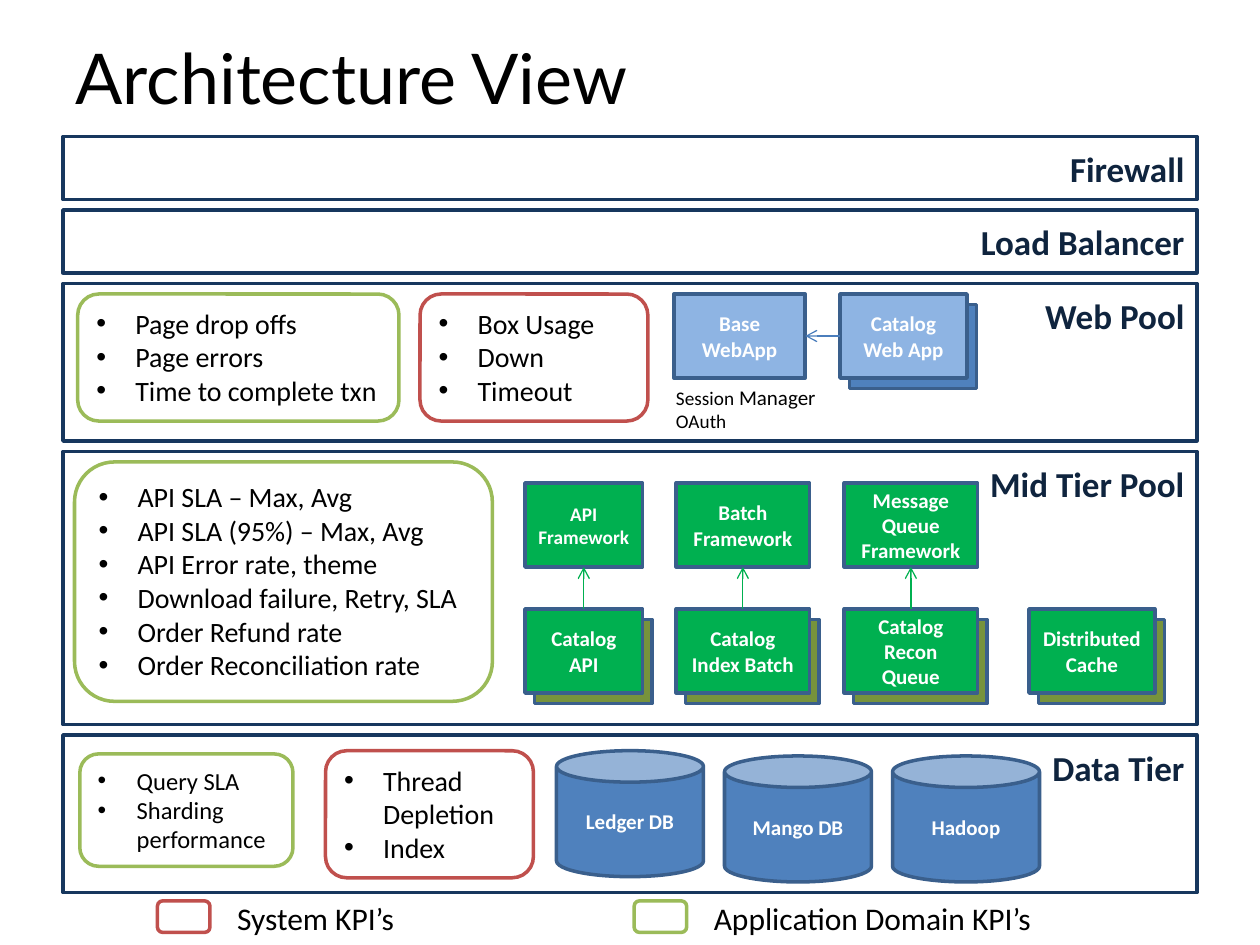
from dataclasses import dataclass

from lxml import etree
from pptx import Presentation
from pptx import util as u
from pptx.dml.color import RGBColor
from pptx.enum import shapes, text
from pptx.oxml import ns

NAVY = RGBColor(0x17, 0x37, 0x5E)
INK = RGBColor(0x0F, 0x24, 0x3E)
BLACK = RGBColor(0, 0, 0)
WHITE = RGBColor(0xFF, 0xFF, 0xFF)
BLUE = RGBColor(0x4F, 0x81, 0xBD)
LIGHT_BLUE = RGBColor(0x8E, 0xB4, 0xE3)
EDGE_BLUE = RGBColor(0x3A, 0x5F, 0x8C)
ARROW_BLUE = RGBColor(0x4B, 0x7E, 0xBC)
GREEN = RGBColor(0x00, 0xB0, 0x50)
OLIVE = RGBColor(0x77, 0x93, 0x3C)
SYSTEM_RED = RGBColor(0xC0, 0x50, 0x4D)
DOMAIN_GREEN = RGBColor(0x9B, 0xBB, 0x59)

SLIDE_WIDTH, SLIDE_HEIGHT = u.Inches(10), u.Inches(7.5)
UNIT = SLIDE_WIDTH / 120  # the slide is a grid of 120 columns by 90 rows
RECTANGLE = shapes.MSO_SHAPE.RECTANGLE
ROUNDED = shapes.MSO_SHAPE.ROUNDED_RECTANGLE
CAN = shapes.MSO_SHAPE.CAN
TOP, LEFT, BOTTOM, RIGHT = range(4)
NODE_HEIGHT = 8


@dataclass
class Box:
    """A place on the slide, in grid columns and rows."""
    column: float
    row: float
    width: float
    height: float

    def inner(self, column, row, width, height):
        return Box(self.column + column, self.row + row, width, height)

    def lengths(self):
        return [round(n * UNIT) for n in (self.column, self.row, self.width, self.height)]


def write(text_frame, words, size, color, bold=False, align=text.PP_ALIGN.LEFT):
    text_frame.text = words
    for paragraph in text_frame.paragraphs:
        paragraph.alignment = align
        for run in paragraph.runs:
            font = run.font
            font.name, font.size, font.bold = "Calibri", u.Pt(size), bold
            font.color.rgb = color


def add_block(slide, box, kind, line, fill=None):
    shape = slide.shapes.add_shape(kind, *box.lengths())
    shape.shadow.inherit = False
    if fill is None:
        shape.fill.background()
    else:
        shape.fill.solid()
        shape.fill.fore_color.rgb = fill
    shape.line.color.rgb = line
    shape.line.width = u.Pt(2)
    return shape


def add_tier(slide, box, label, anchor=text.MSO_ANCHOR.TOP):
    text_frame = add_block(slide, box, RECTANGLE, NAVY).text_frame
    write(text_frame, label, 20, INK, True, text.PP_ALIGN.RIGHT)
    text_frame.vertical_anchor = anchor
    if anchor == text.MSO_ANCHOR.TOP:
        text_frame.margin_top = u.Inches(0.09)


def add_kpis(slide, box, color, items, size=16):
    text_frame = add_block(slide, box, ROUNDED, color, WHITE).text_frame
    text_frame.vertical_anchor = text.MSO_ANCHOR.TOP
    write(text_frame, "\n".join(items), size, BLACK)
    indent = u.Inches(0.31)
    for paragraph in text_frame.paragraphs:
        properties = paragraph._p.get_or_add_pPr()
        properties.set("marL", str(indent))
        properties.set("indent", str(-indent))
        etree.SubElement(properties, ns.qn("a:buFont")).set("typeface", "Arial")
        etree.SubElement(properties, ns.qn("a:buChar")).set("char", "•")


def add_node(slide, box, label, fill, size=12, kind=RECTANGLE, behind=None):
    if behind is not None:  # second instance, peeking out from behind
        add_block(slide, box.inner(0.9, 1, box.width, box.height), RECTANGLE, EDGE_BLUE, behind)
    node = add_block(slide, box, kind, EDGE_BLUE, fill)
    write(node.text_frame, label, size, WHITE, True, text.PP_ALIGN.CENTER)
    return node


def add_arrow(slide, start, start_side, end, end_side, color):
    arrow = slide.shapes.add_connector(shapes.MSO_CONNECTOR.STRAIGHT, 0, 0, 0, 0)
    arrow.begin_connect(start, start_side)
    arrow.end_connect(end, end_side)
    arrow.line.color.rgb = color
    arrow.line.width = u.Pt(0.75)
    etree.SubElement(arrow.line._get_or_add_ln(), ns.qn("a:tailEnd")).set("type", "arrow")
    etree.SubElement(arrow._element.spPr, ns.qn("a:effectLst"))


def add_caption(slide, box, words, size):
    text_frame = slide.shapes.add_textbox(*box.lengths()).text_frame
    text_frame.word_wrap = False
    write(text_frame, words, size, BLACK)
    return text_frame


def add_title(slide, box):
    title = slide.shapes.title
    title.left, title.top, title.width, title.height = box.lengths()
    text_frame = title.text_frame
    write(text_frame, "Architecture View", 40, BLACK)
    text_frame.paragraphs[0].runs[0].font.name = "Lato"
    text_frame.vertical_anchor = text.MSO_ANCHOR.MIDDLE


def add_web_pool(slide, box):
    add_tier(slide, box, "Web Pool")
    add_kpis(slide, box.inner(1.4, 1, 30.6, 12.1), DOMAIN_GREEN,
             ["Page drop offs", "Page errors", "Time to complete txn"])
    add_kpis(slide, box.inner(34, 1, 21.7, 12.1), SYSTEM_RED,
             ["Box Usage", "Down", "Timeout"])
    base = add_node(slide, box.inner(58.2, 1, 12.5, NODE_HEIGHT), "Base\nWebApp", LIGHT_BLUE)
    catalog = add_node(slide, box.inner(74, 1, 12.1, NODE_HEIGHT), "Catalog\nWeb App",
                       LIGHT_BLUE, behind=BLUE)
    add_arrow(slide, catalog, LEFT, base, RIGHT, ARROW_BLUE)

    # Services of the base app, with the second word a little larger
    caption = add_caption(slide, box.inner(57.2, 9, 15.8, 6), "Session\nOAuth", 11)
    first = caption.paragraphs[0]
    manager = first.add_run()
    manager.text = " Manager"
    manager.font.name, manager.font.size = "Calibri", u.Pt(12)
    manager.font.color.rgb = BLACK


def add_mid_tier(slide, box):
    add_tier(slide, box, "Mid Tier Pool")
    add_kpis(slide, box.inner(1.1, 1, 39.8, 22.8), DOMAIN_GREEN,
             ["API SLA – Max, Avg", "API SLA (95%) – Max, Avg", "API Error rate, theme",
              "Download failure, Retry, SLA", "Order Refund rate", "Order Reconciliation rate"])
    # Each catalog service points up to its framework
    services = [
        (44, 11.2, "API Framework", 11, "Catalog API"),
        (58.4, 12.7, "Batch Framework", 12, "Catalog Index Batch"),
        (74.4, 12.7, "Message Queue Framework", 12, "Catalog Recon Queue"),
    ]
    for column, width, framework_label, size, service_label in services:
        framework = add_node(slide, box.inner(column, 3, width, NODE_HEIGHT),
                             framework_label, GREEN, size)
        service = add_node(slide, box.inner(column, 15, width, NODE_HEIGHT),
                           service_label, GREEN, behind=OLIVE)
        add_arrow(slide, service, TOP, framework, BOTTOM, GREEN)
    add_node(slide, box.inner(92, 15, 12, NODE_HEIGHT), "Distributed Cache", GREEN, behind=OLIVE)


def add_data_tier(slide, box):
    add_tier(slide, box, "Data Tier")
    add_kpis(slide, box.inner(1.6, 1.8, 20.3, 10.7), DOMAIN_GREEN,
             ["Query SLA", "Sharding performance"], 14)
    add_kpis(slide, box.inner(25, 1.5, 19.8, 12.1), SYSTEM_RED, ["Thread Depletion", "Index"])
    stores = [("Ledger DB", 1.5), ("Mango DB", 2), ("Hadoop", 2)]
    for index, (label, row) in enumerate(stores):
        add_node(slide, box.inner(47 + 16 * index, row, 14, 12), label, BLUE, kind=CAN)


def add_legend(slide, box):
    entries = [(9, SYSTEM_RED, "System KPI’s", 17.5),
               (54.4, DOMAIN_GREEN, "Application Domain KPI’s", 33)]
    for column, color, label, width in entries:
        add_block(slide, box.inner(column, 0.8, 5, 3), ROUNDED, color, WHITE)
        add_caption(slide, box.inner(column + 6.4, 0, width, 4.8), label, 18)


def main():
    presentation = Presentation()
    presentation.slide_width, presentation.slide_height = SLIDE_WIDTH, SLIDE_HEIGHT
    slide = presentation.slides.add_slide(presentation.slide_layouts[5])
    add_title(slide, Box(6, 3.6, 108, 7.4))
    for row, label in ((13, "Firewall"), (20, "Load Balancer")):
        add_tier(slide, Box(6, row, 108, 6), label, text.MSO_ANCHOR.MIDDLE)
    add_web_pool(slide, Box(6, 27, 108, 15))
    add_mid_tier(slide, Box(6, 43, 108, 26))
    add_data_tier(slide, Box(6, 70, 108, 15))
    add_legend(slide, Box(6, 85, 108, 5))
    presentation.save("out.pptx")


if __name__ == "__main__":
    main()
